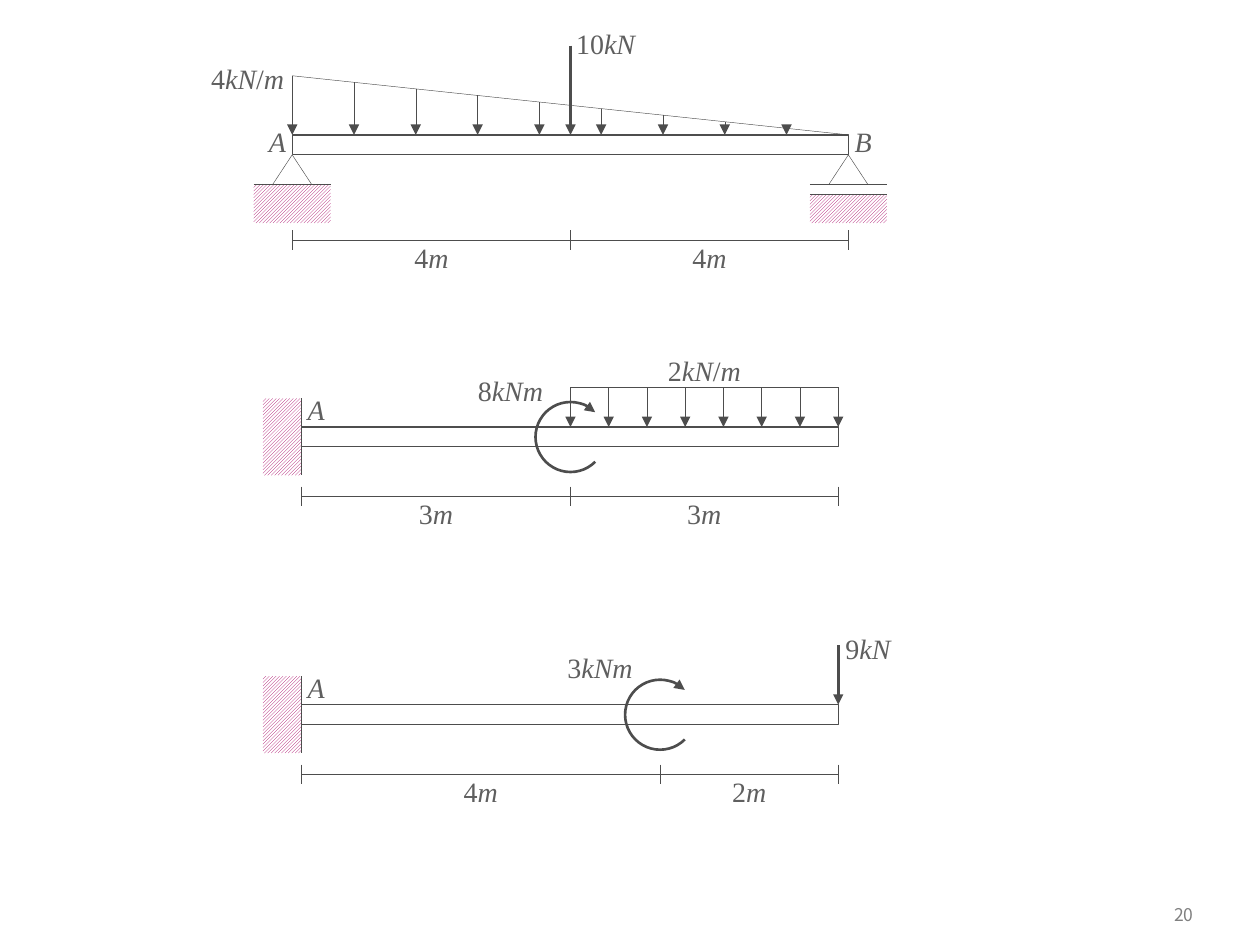
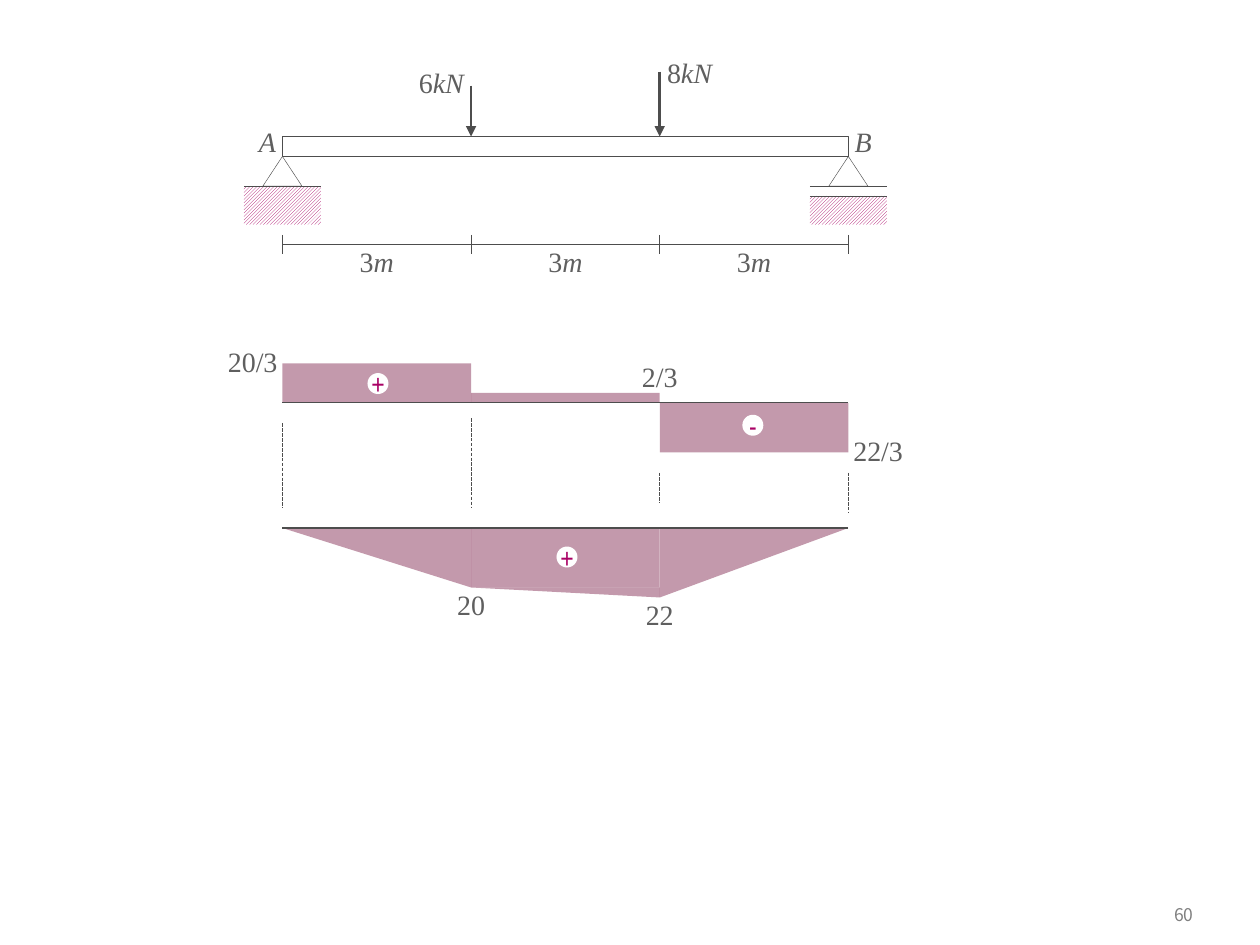
from itertools import groupby, pairwise

from lxml import etree
from pptx import Presentation
from pptx.dml.color import RGBColor
from pptx.enum.dml import MSO_LINE, MSO_PATTERN
from pptx.enum.shapes import MSO_CONNECTOR, MSO_SHAPE
from pptx.enum.text import MSO_ANCHOR, PP_ALIGN
from pptx.oxml.ns import qn
from pptx.util import Pt

INK = RGBColor(0x4D, 0x4D, 0x4D)
LABEL = RGBColor(0x5F, 0x5F, 0x5F)
PAGE = RGBColor(0x80, 0x80, 0x80)
MAGENTA = RGBColor(0xA9, 0x01, 0x65)
WINE = RGBColor(0x6B, 0x01, 0x31)
WHITE = RGBColor(0xFF, 0xFF, 0xFF)

RECTANGLE = MSO_SHAPE.RECTANGLE
TRIANGLE = MSO_SHAPE.ISOSCELES_TRIANGLE
OVAL = MSO_SHAPE.OVAL
ARC = MSO_SHAPE.ARC
STRAIGHT = MSO_CONNECTOR.STRAIGHT
UPWARD_HATCH = MSO_PATTERN.LIGHT_UPWARD_DIAGONAL
LONG_DASH = MSO_LINE.LONG_DASH
TOP, MIDDLE = MSO_ANCHOR.TOP, MSO_ANCHOR.MIDDLE
CENTER, RIGHT = PP_ALIGN.CENTER, PP_ALIGN.RIGHT

THIN, MEDIUM, THICK = 0.25, 0.75, 1.5
BEAM_DEPTH = 11.4
LABEL_HEIGHT = 19.4
SUPPORT_HALF_WIDTH = 22
SUPPORT_DEPTH = 22
PIN_HEIGHT = 17
ARC_RADIUS = 20


def write_text(shape, text, font="Times New Roman", size=16, color=LABEL,
               align=CENTER, anchor=TOP, wrap=True, inset=True):
    frame = shape.text_frame
    frame.word_wrap = wrap
    frame.vertical_anchor = anchor
    if not inset:
        frame.margin_left = frame.margin_right = 0
        frame.margin_top = frame.margin_bottom = 0
    paragraph = frame.paragraphs[0]
    paragraph.alignment = align
    for is_unit, letters in groupby(text, str.isalpha):
        run = paragraph.add_run()
        run.text = "".join(letters)
        run.font.name = font
        run.font.size = Pt(size)
        run.font.color.rgb = color
        run.font.italic = is_unit


def add_arrowhead(line_format):
    etree.SubElement(line_format._get_or_add_ln(), qn("a:tailEnd"), type="triangle")


class Sketch:
    def __init__(self):
        self.deck = Presentation()
        self.deck.slide_width = Pt(720)
        self.deck.slide_height = Pt(540)
        self.shapes = None

    def start_slide(self, number):
        self.shapes = self.deck.slides.add_slide(self.deck.slide_layouts[6]).shapes
        page = self.shapes.add_textbox(Pt(638), Pt(510.5), Pt(51), Pt(24))
        write_text(page, number, font="Noto Sans CJK KR", size=10, color=PAGE,
                   align=RIGHT, anchor=MIDDLE)

    def shape(self, kind, x, y, width, height, fill=None, outline=None):
        shape = self.shapes.add_shape(kind, Pt(x), Pt(y), Pt(width), Pt(height))
        shape.shadow.inherit = False
        if fill is None:
            shape.fill.background()
        else:
            shape.fill.solid()
            shape.fill.fore_color.rgb = fill
        if outline is None:
            shape.line.fill.background()
        else:
            shape.line.color.rgb = INK
            shape.line.width = Pt(outline)
        return shape

    def line(self, x1, y1, x2, y2, weight=THIN, dashed=False, arrow=False):
        line = self.shapes.add_connector(STRAIGHT, Pt(x1), Pt(y1), Pt(x2), Pt(y2))
        line.line.color.rgb = INK
        line.line.width = Pt(weight)
        if dashed:
            line.line.dash_style = LONG_DASH
        if arrow:
            add_arrowhead(line.line)
        etree.SubElement(line._element.spPr, qn("a:effectLst"))

    def label(self, text, x, y, width, **text_format):
        box = self.shapes.add_textbox(Pt(x), Pt(y), Pt(width), Pt(LABEL_HEIGHT))
        write_text(box, text, inset=False, **text_format)

    def value(self, text, x, y, width):
        self.label(text, x, y, width, anchor=MIDDLE, wrap=False)

    def hatch(self, x, y, width, height):
        ground = self.shape(RECTANGLE, x, y, width, height)
        ground.fill.patterned()
        ground.fill.pattern = UPWARD_HATCH
        ground.fill.fore_color.rgb = MAGENTA
        ground.fill.back_color.rgb = WHITE
        return ground

    def beam(self, start, end, y):
        self.shape(RECTANGLE, start, y, end - start, BEAM_DEPTH, WHITE, MEDIUM)

    def support(self, x, y, roller_gap=0):
        left, right = x - SUPPORT_HALF_WIDTH, x + SUPPORT_HALF_WIDTH
        base = y + PIN_HEIGHT
        self.hatch(left, base + roller_gap, right - left, SUPPORT_DEPTH - roller_gap)
        self.line(left, base, right, base)
        if roller_gap:
            self.line(left, base + roller_gap, right, base + roller_gap)
        self.shape(TRIANGLE, x - 11.2, y, 22.4, PIN_HEIGHT, outline=THIN)

    def simple_beam(self, start, end, y):
        bottom = y + BEAM_DEPTH
        self.support(start, bottom)
        self.support(end, bottom, roller_gap=5.6)
        self.beam(start, end, y)
        self.label("A", start - 17, 71.3, 17)
        self.label("B", end, 71.3, 17)

    def cantilever(self, start, end, y):
        middle = y + BEAM_DEPTH / 2
        self.beam(start, end, y)
        wall = self.hatch(start - 33, middle - 11, 44, 22)
        wall.rotation = 90
        self.line(start, middle - 22, start, middle + 22)
        self.label("A", start, y - 19.8, 17)

    def dimensions(self, stops, y, lengths, label_width=34):
        self.line(stops[0], y, stops[-1], y)
        for stop in stops:
            self.line(stop, y - 5.6, stop, y + 5.6)
        for (left, right), length in zip(pairwise(stops), lengths):
            self.label(length, (left + right - label_width) / 2, y, label_width)

    def distributed_load(self, start, end, y, start_height, end_height, gaps):
        self.line(start, y - start_height, end, y - end_height)
        for i in range(gaps + 1):
            x = start + (end - start) * i / gaps
            height = start_height + (end_height - start_height) * i / gaps
            if height > 0:
                self.line(x, y - height, x, y, arrow=True)

    def point_load(self, x, y, height):
        self.line(x, y - height, x, y, THICK, arrow=True)

    def moment(self, text, x, beam_top):
        y = beam_top + BEAM_DEPTH / 2
        arc = self.shape(ARC, x - ARC_RADIUS, y - ARC_RADIUS,
                         2 * ARC_RADIUS, 2 * ARC_RADIUS, outline=THICK)
        arc.adjustments[0] = 54
        arc.adjustments[1] = 0
        arc.rotation = 315
        add_arrowhead(arc.line)
        self.label(text, x - 56.8, y - 36.5, 45)

    def area(self, x, y, width, height, kind=RECTANGLE, apex=None):
        area = self.shape(kind, x, y, width, height, WINE)
        color = area._element.spPr.find(qn("a:solidFill"))[0]
        etree.SubElement(color, qn("a:alpha"), val="40000")
        if apex is not None:
            area.adjustments[0] = apex
            area.rotation = 180

    def sign(self, text, x, y):
        badge = self.shape(OVAL, x - 6, y - 6, 12, 12, WHITE)
        write_text(badge, text, font="Arial Narrow", color=MAGENTA,
                   anchor=MIDDLE, wrap=False)


def draw_load_cases(sketch):
    sketch.start_slide("20")

    left, middle, right, top = 167, 326, 484.8, 77.1
    sketch.simple_beam(left, right, top)
    sketch.dimensions((left, middle, right), 137.3, ("4m", "4m"))
    sketch.distributed_load(left, right, top, 33.8, 0, 9)
    sketch.label("4kN/m", 116, 35.2, 51)
    sketch.point_load(middle, top, 51)
    sketch.label("10kN", middle, 15, 40)

    wall, tip = 172.2, 479
    top = 244
    sketch.cantilever(wall, tip, top)
    sketch.dimensions((wall, middle, tip), 283.7, ("3m", "3m"), 28)
    sketch.moment("8kNm", middle, top)
    sketch.distributed_load(middle, tip, top, 22.6, 22.6, 7)
    sketch.label("2kN/m", 377, 202.2, 51)

    couple, top = 377.2, 402.7
    sketch.cantilever(wall, tip, top)
    sketch.dimensions((wall, couple, tip), 442.5, ("4m", "2m"))
    sketch.moment("3kNm", couple, top)
    sketch.point_load(tip, top, 34)
    sketch.label("9kN", tip, 361, 34)


def draw_internal_forces(sketch):
    sketch.start_slide("60")

    left, bay, top = 161.4, 107.8, 78
    stops = [left + bay * i for i in range(4)]
    right = stops[-1]
    sketch.simple_beam(left, right, top)
    sketch.dimensions(stops, 139.8, ("3m", "3m", "3m"), 28)
    sketch.point_load(stops[1], top, 29)
    sketch.label("6kN", stops[1] - 34, 37.5, 34)
    sketch.point_load(stops[2], top, 37)
    sketch.label("8kN", stops[2], 31.8, 34)

    shear_axis = 230.2
    for start, rise, drop in zip(stops, (22.6, 5.7, 0), (0, 0, 28.4)):
        sketch.area(start, shear_axis - rise, bay, rise + drop)
    sketch.line(left, shear_axis, right, shear_axis, MEDIUM)
    sketch.sign("+", 216, 219.2)
    sketch.sign("-", 430.2, 243)
    sketch.value("20/3", left - 34, 196.8, 34)
    sketch.value("2/3", stops[2] - 11, 205.5, 22)
    sketch.value("22/3", right, 247.7, 34)

    for x, start, end in zip(stops, (242, 239, 270, 270), (290, 290, 287, 292.5)):
        sketch.line(x, start, x, end, dashed=True)

    moment_axis, first_peak, second_peak = 301.7, 34, 39.7
    sketch.area(left, moment_axis, bay, first_peak, TRIANGLE, apex=0)
    sketch.area(stops[1], moment_axis, bay, first_peak)
    sketch.area(stops[1], moment_axis + first_peak, bay, second_peak - first_peak,
                TRIANGLE, apex=0)
    sketch.area(stops[2], moment_axis, bay, second_peak, TRIANGLE, apex=1)
    sketch.line(left, moment_axis, right, moment_axis, MEDIUM)
    sketch.sign("+", 324, 318.3)
    sketch.value("20", stops[1] - 11, moment_axis + first_peak, 22)
    sketch.value("22", stops[2] - 11, moment_axis + second_peak, 22)


def main():
    sketch = Sketch()
    draw_load_cases(sketch)
    draw_internal_forces(sketch)
    sketch.deck.save("out.pptx")


if __name__ == "__main__":
    main()
